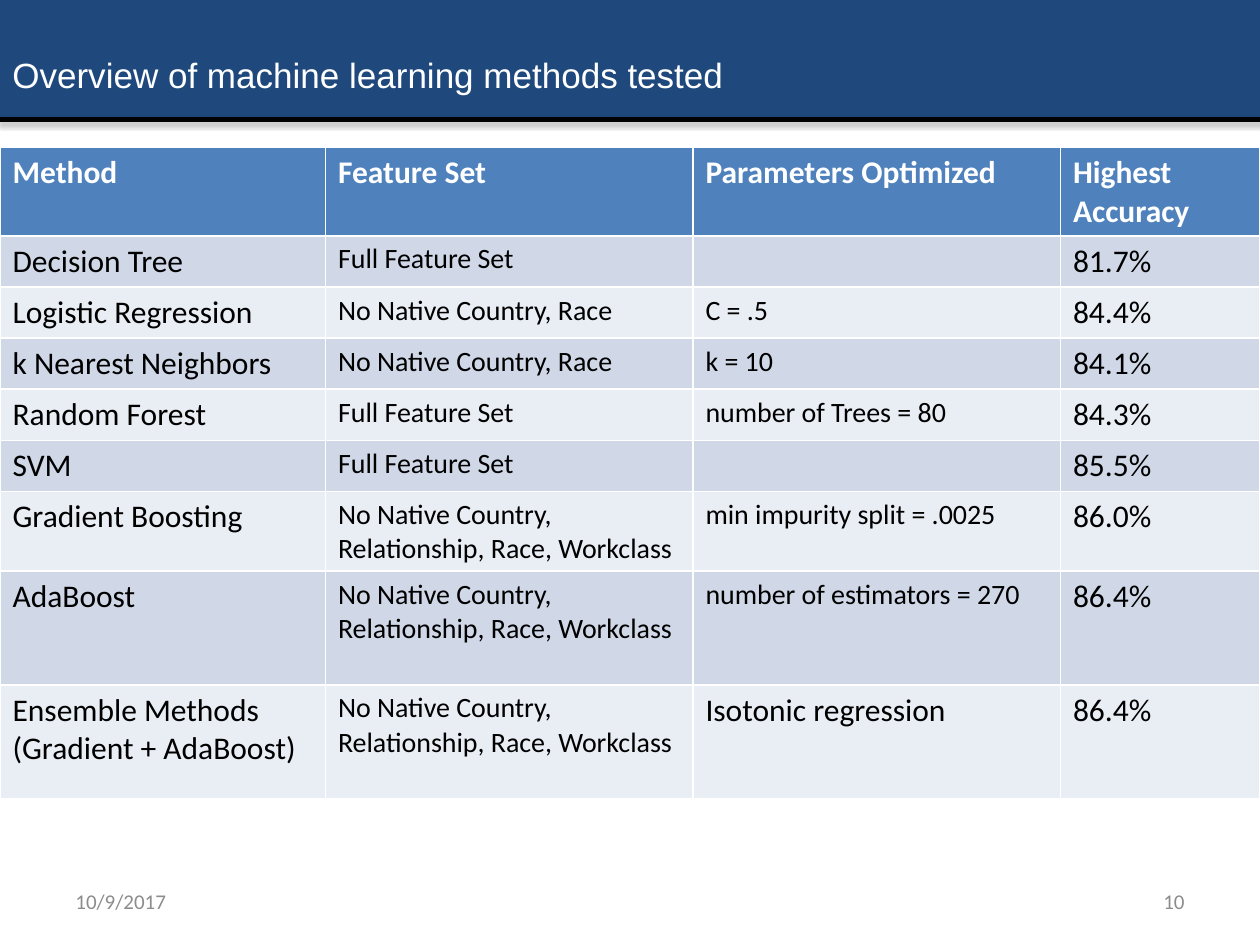
import pptx
import pptx.dml.color
import pptx.enum.shapes
import pptx.enum.text
import pptx.oxml
import pptx.oxml.ns
import pptx.util

Pt = pptx.util.Pt
ALIGN = pptx.enum.text.PP_ALIGN
ANCHOR = pptx.enum.text.MSO_ANCHOR

COLUMN_WIDTHS = [186, 210, 210, 114]
ROW_HEIGHTS = [49.8] + [29.2] * 5 + [45.6, 65, 64.8]
HEADINGS = ["Method", "Feature Set", "Parameters Optimized", "Highest Accuracy"]
FULL = "Full Feature Set"
REDUCED = "No Native Country, Race"
SMALLEST = "No Native Country, Relationship, Race, Workclass"
METHODS = [
    ("Decision Tree", FULL, "", "81.7%"),
    ("Logistic Regression", REDUCED, "C = .5", "84.4%"),
    ("k Nearest Neighbors", REDUCED, "k = 10", "84.1%"),
    ("Random Forest", FULL, "number of Trees = 80", "84.3%"),
    ("SVM", FULL, "", "85.5%"),
    ("Gradient Boosting", SMALLEST, "min impurity split = .0025", "86.0%"),
    ("AdaBoost", SMALLEST, "number of estimators = 270", "86.4%"),
    ("Ensemble Methods\n(Gradient + AdaBoost)", SMALLEST, "Isotonic regression", "86.4%"),
]
SHADOW = (
    '<a:effectLst xmlns:a="%s"><a:outerShdw blurRad="%d" dist="%d" dir="5400000" '
    'rotWithShape="0"><a:srgbClr val="000000"><a:alpha val="35000"/></a:srgbClr>'
    "</a:outerShdw></a:effectLst>"
)


def rgb(value):
    return pptx.dml.color.RGBColor.from_string(value)


def write(frame, text, size, color, font="Calibri", bold=False, align=ALIGN.LEFT):
    for index, line in enumerate(text.split("\n")):
        paragraph = frame.add_paragraph() if index else frame.paragraphs[0]
        paragraph.alignment = align
        run = paragraph.add_run()
        run.text = line
        run.font.size = Pt(size)
        run.font.name = font
        run.font.bold = bold
        run.font.color.rgb = rgb(color)


def add_label(slide, box, text, size, color, anchor=ANCHOR.MIDDLE, **style):
    frame = slide.shapes.add_textbox(*map(Pt, box)).text_frame
    frame.word_wrap = True
    frame.vertical_anchor = anchor
    write(frame, text, size, color, **style)


def add_banner(slide):
    banner = slide.shapes.add_shape(
        pptx.enum.shapes.MSO_SHAPE.RECTANGLE, Pt(-0.75), Pt(0), Pt(722), Pt(67))
    banner.shadow.inherit = False
    banner.fill.solid()
    banner.fill.fore_color.rgb = rgb("1F497D")
    banner.line.fill.background()


def add_rule(slide):
    rule = slide.shapes.add_connector(
        pptx.enum.shapes.MSO_CONNECTOR.STRAIGHT, Pt(-0.75), Pt(68.4), Pt(721.25), Pt(68.4))
    rule.line.color.rgb = rgb("000000")
    rule.line.width = Pt(3)
    shadow = SHADOW % (pptx.oxml.ns.nsuri("a"), Pt(3.1), Pt(1.8))
    rule._element.spPr.append(pptx.oxml.parse_xml(shadow))


def fill_cell(cell, text, background, size, color, bold=False):
    cell.fill.solid()
    cell.fill.fore_color.rgb = rgb(background)
    if text:
        write(cell.text_frame, text, size, color, bold=bold)


def add_results(slide):
    results = slide.shapes.add_table(
        len(ROW_HEIGHTS), len(COLUMN_WIDTHS), Pt(0), Pt(84.4),
        Pt(sum(COLUMN_WIDTHS)), Pt(sum(ROW_HEIGHTS))).table
    for column, width in zip(results.columns, COLUMN_WIDTHS):
        column.width = Pt(width)
    for row, height in zip(results.rows, ROW_HEIGHTS):
        row.height = Pt(height)
    for column, heading in enumerate(HEADINGS):
        fill_cell(results.cell(0, column), heading, "4F81BD", 18, "FFFFFF", bold=True)
    for row, method in enumerate(METHODS, 1):
        band = "D0D8E8" if row % 2 else "E9EDF4"
        for column, text in enumerate(method):
            small = column in (1, 2) and text != "Isotonic regression"
            fill_cell(results.cell(row, column), text, band, 16 if small else 18, "000000")


def main():
    deck = pptx.Presentation()
    deck.slide_width, deck.slide_height = Pt(720), Pt(540)
    slide = deck.slides.add_slide(deck.slide_layouts[6])
    add_banner(slide)
    add_rule(slide)
    add_label(slide, (36, 500.5, 168, 28.75), "10/9/2017", 12, "8C8C8C")
    add_label(slide, (516, 500.5, 168, 28.75), "10", 12, "8C8C8C", align=ALIGN.RIGHT)
    add_label(slide, (0, 26.9, 714, 31.5), "Overview of machine learning methods tested",
              20, "FFFFFF", anchor=ANCHOR.TOP, font="Arial")
    add_results(slide)
    deck.save("out.pptx")


if __name__ == "__main__":
    main()
